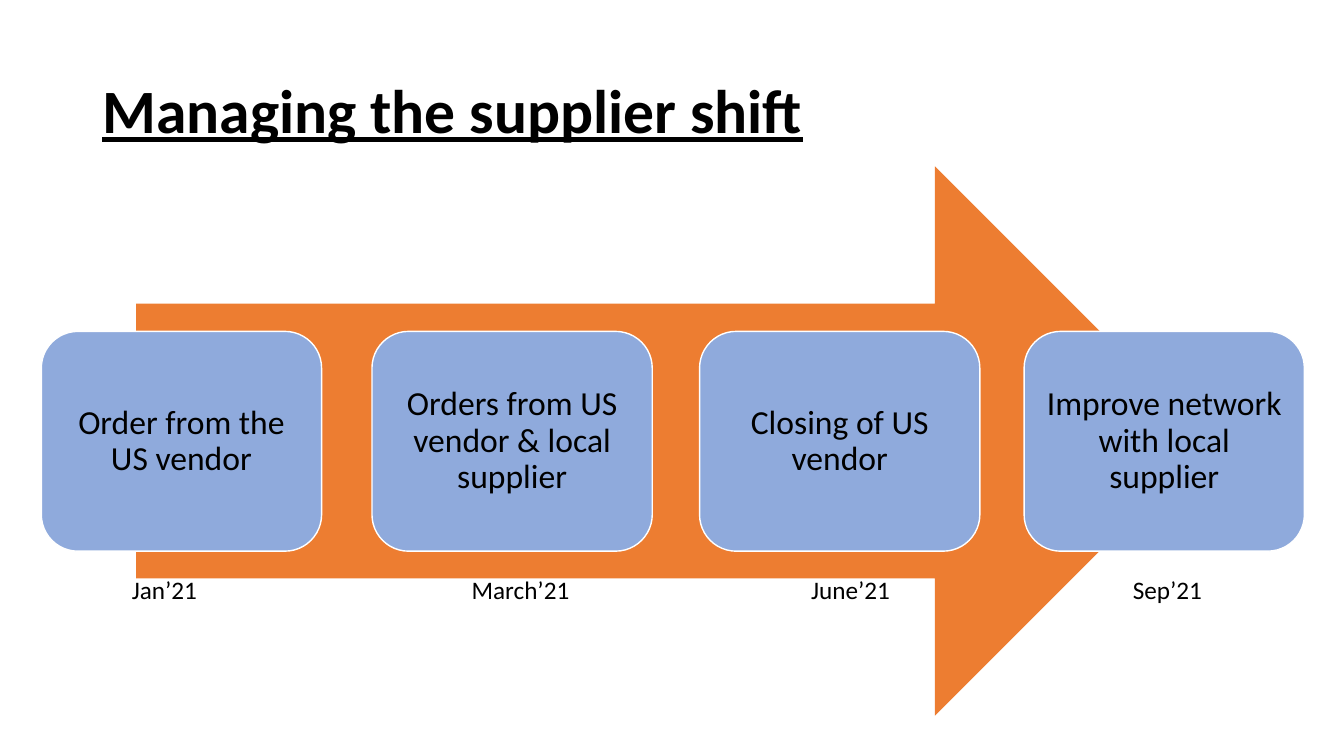
from pptx import Presentation
from pptx.dml.color import RGBColor
from pptx.enum import shapes, text
from pptx.util import Pt

FONT = "Calibri"
BLACK, WHITE, ORANGE, BLUE = "000000", "FFFFFF", "ED7D31", "8FAADC"

# Step text, box left, date, date left, date width
STEPS = [
    ("Order from the US vendor", 29.5, "Jan’21", 87.1, 70.6),
    ("Orders from US vendor & local supplier", 265.7, "March’21", 329.8, 89.3),
    ("Closing of US vendor", 499.7, "June’21", 572.4, 89.3),
    ("Improve network with local supplier", 731.5, "Sep’21", 802.1, 70.6),
]


def color(value):
    return RGBColor.from_string(value)


def write(sp, content, size, align=text.PP_ALIGN.LEFT, anchor=text.MSO_ANCHOR.TOP,
          spacing=1.0, bold=False, underline=False):
    tf = sp.text_frame
    tf.word_wrap = True
    tf.vertical_anchor = anchor
    p = tf.paragraphs[0]
    p.alignment = align
    p.line_spacing = spacing
    r = p.add_run()
    r.text = content
    r.font.name = FONT
    r.font.size = Pt(size)
    r.font.bold = bold
    r.font.underline = underline
    r.font.color.rgb = color(BLACK)


def add_title(slide, content):
    sp = slide.shapes.title
    sp.left, sp.top, sp.width, sp.height = Pt(66), Pt(28.8), Pt(828), Pt(104.4)
    write(sp, content, 44, anchor=text.MSO_ANCHOR.MIDDLE, spacing=0.9,
          bold=True, underline=True)


def add_shape(slide, kind, left, top, width, height, fill, line=None):
    sp = slide.shapes.add_shape(kind, Pt(left), Pt(top), Pt(width), Pt(height))
    sp.shadow.inherit = False
    sp.fill.solid()
    sp.fill.fore_color.rgb = color(fill)
    if line:
        sp.line.color.rgb = color(line)
        sp.line.width = Pt(1)
    else:
        sp.line.fill.background()
    return sp


def add_step(slide, content, left):
    sp = add_shape(slide, shapes.MSO_SHAPE.ROUNDED_RECTANGLE,
                   left, 236.7, 200.2, 157, BLUE, WHITE)
    tf = sp.text_frame
    tf.margin_left = tf.margin_right = tf.margin_top = tf.margin_bottom = Pt(7.2)
    write(sp, content, 24, text.PP_ALIGN.CENTER, text.MSO_ANCHOR.MIDDLE, 0.9)


def add_date(slide, content, left, width):
    sp = slide.shapes.add_textbox(Pt(left), Pt(406.8), Pt(width), Pt(29))
    write(sp, content, 18)
    sp.text_frame.auto_size = text.MSO_AUTO_SIZE.SHAPE_TO_FIT_TEXT


def main():
    prs = Presentation()
    prs.slide_width, prs.slide_height = Pt(960), Pt(540)
    slide = prs.slides.add_slide(prs.slide_layouts[5])
    add_title(slide, "Managing the supplier shift")

    # Timeline arrow behind the steps
    add_shape(slide, shapes.MSO_SHAPE.RIGHT_ARROW, 97.2, 118.8, 766.8, 392.4, ORANGE)

    # Steps with their dates
    for step, left, date, date_left, date_width in STEPS:
        add_step(slide, step, left)
        add_date(slide, date, date_left, date_width)

    prs.save("out.pptx")


if __name__ == "__main__":
    main()
